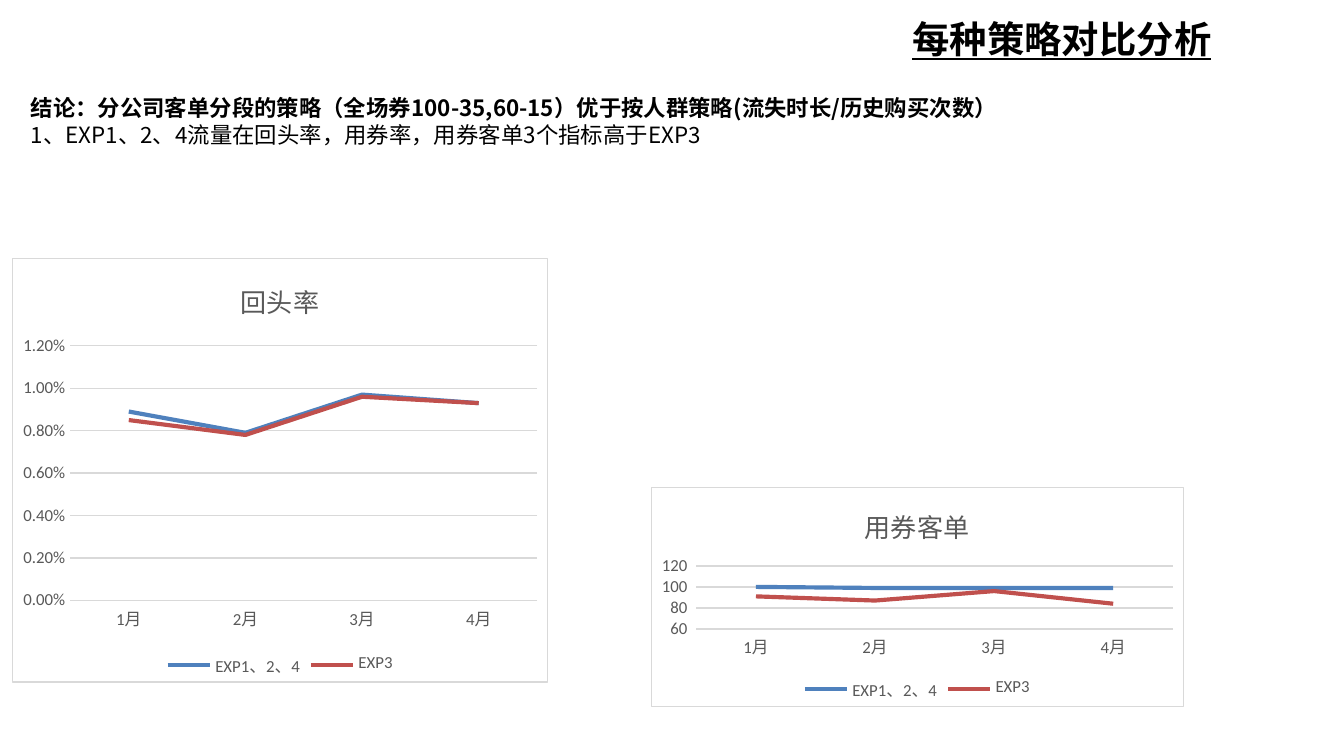
from pptx import Presentation
from pptx.chart.data import CategoryChartData
from pptx.dml.color import RGBColor
from pptx.enum.chart import XL_CHART_TYPE as ChartType
from pptx.enum.chart import XL_LEGEND_POSITION as LegendPosition
from pptx.enum.chart import XL_TICK_MARK as TickMark
from pptx.oxml import parse_xml
from pptx.oxml.ns import nsdecls, qn
from pptx.util import Inches, Pt

SLIDE_WIDTH = 10
SLIDE_HEIGHT = SLIDE_WIDTH * 9 / 16
TEXT_FONT = "Noto Sans CJK SC"
CHART_FONT = "Calibri"
BLACK, GREY, RULE, WHITE = "000000", "595959", "D9D9D9", "FFFFFF"
MONTHS = ["1月", "2月", "3月", "4月"]
GROUP_COLORS = {"EXP1、2、4": "4F81BD", "EXP3": "C0504D"}


def rgb(hex_color):
    return RGBColor.from_string(hex_color)


def style_font(font, size, color, name, bold=False):
    font.size = Pt(size)
    font.name = name
    font.bold = bold
    font.color.rgb = rgb(color)


def style_line(line, color, width):
    line.color.rgb = rgb(color)
    line.width = Pt(width)


def add_text(slide, box, lines, size, underline=False):
    """Add a text box; lines holds (text, bold) pairs, one per paragraph."""
    frame = slide.shapes.add_textbox(*map(Inches, box)).text_frame
    frame.word_wrap = True
    for index, (text, bold) in enumerate(lines):
        paragraph = frame.add_paragraph() if index else frame.paragraphs[0]
        run = paragraph.add_run()
        run.text = text
        style_font(paragraph.font, size, BLACK, TEXT_FONT, bold)
        paragraph.font.underline = underline
        east_asian = parse_xml(f'<a:ea {nsdecls("a")} typeface="{TEXT_FONT}"/>')
        paragraph.font._element.find(qn("a:latin")).addnext(east_asian)


def frame_chart(chart):
    """Give the chart area a white fill and a thin square border."""
    chart_space = chart._chartSpace
    chart_space.find(qn("c:date1904")).addnext(
        parse_xml(f'<c:roundedCorners {nsdecls("c")} val="0"/>'))
    chart_space.find(qn("c:txPr")).addprevious(parse_xml(
        f'<c:spPr {nsdecls("c", "a")}>'
        f'<a:solidFill><a:srgbClr val="{WHITE}"/></a:solidFill>'
        f'<a:ln w="{Pt(0.75)}"><a:solidFill><a:srgbClr val="{RULE}"/>'
        '</a:solidFill></a:ln></c:spPr>'))


def style_axes(chart, scale, number_format):
    months, values = chart.category_axis, chart.value_axis
    for axis in (months, values):
        axis.major_tick_mark = axis.minor_tick_mark = TickMark.NONE
        style_font(axis.tick_labels.font, 9, GREY, CHART_FONT)
    style_line(months.format.line, RULE, 0.75)
    values.format.line.fill.background()
    style_line(values.major_gridlines.format.line, RULE, 0.75)
    values.minimum_scale, values.maximum_scale, values.major_unit = scale
    values.tick_labels.number_format = number_format
    values.tick_labels.number_format_is_linked = False


def add_line_chart(slide, box, title, group_values, scale, number_format):
    """Add a monthly chart; scale is (minimum, maximum, step)."""
    data = CategoryChartData(number_format=number_format)
    data.categories = MONTHS
    for group, values in zip(GROUP_COLORS, group_values):
        data.add_series(group, values)
    chart = slide.shapes.add_chart(
        ChartType.LINE, *map(Inches, box), data).chart
    style_font(chart.font, 10, BLACK, CHART_FONT)
    frame_chart(chart)

    chart.has_title = True
    chart.chart_title.include_in_layout = False
    heading = chart.chart_title.text_frame
    heading.text = title
    style_font(heading.paragraphs[0].font, 14, GREY, CHART_FONT)

    chart.has_legend = True
    chart.legend.position = LegendPosition.BOTTOM
    chart.legend.include_in_layout = False
    style_font(chart.legend.font, 9, GREY, CHART_FONT)

    style_axes(chart, scale, number_format)
    chart.plots[0].vary_by_categories = False
    for series, color in zip(chart.plots[0].series, GROUP_COLORS.values()):
        series.smooth = False
        style_line(series.format.line, color, 2.25)


def main():
    deck = Presentation()
    deck.slide_width, deck.slide_height = Inches(SLIDE_WIDTH), Inches(SLIDE_HEIGHT)
    slide = deck.slides.add_slide(deck.slide_layouts[6])

    add_text(slide, (6.69, 0.07, 3.08, 0.44), [("每种策略对比分析", True)],
             size=20, underline=True)
    add_line_chart(
        slide, (0.09, 1.92, 3.99, 3.16), "回头率",
        [(0.0089, 0.0079, 0.0097, 0.0093), (0.0085, 0.0078, 0.0096, 0.0093)],
        scale=(0, 0.012, 0.002), number_format="0.00%")
    add_line_chart(
        slide, (4.84, 3.62, 3.97, 1.64), "用券客单",
        [(100, 99, 99, 99), (91, 87, 96, 84)],
        scale=(60, 120, 20), number_format="0_ ")
    add_text(slide, (0.13, 0.65, 9.15, 0.5), [
        ("结论：分公司客单分段的策略（全场券100-35,60-15）优于按人群策略"
         "(流失时长/历史购买次数）", True),
        ("1、EXP1、2、4流量在回头率，用券率，用券客单3个指标高于EXP3", False),
    ], size=12)

    deck.save("out.pptx")


if __name__ == "__main__":
    main()
